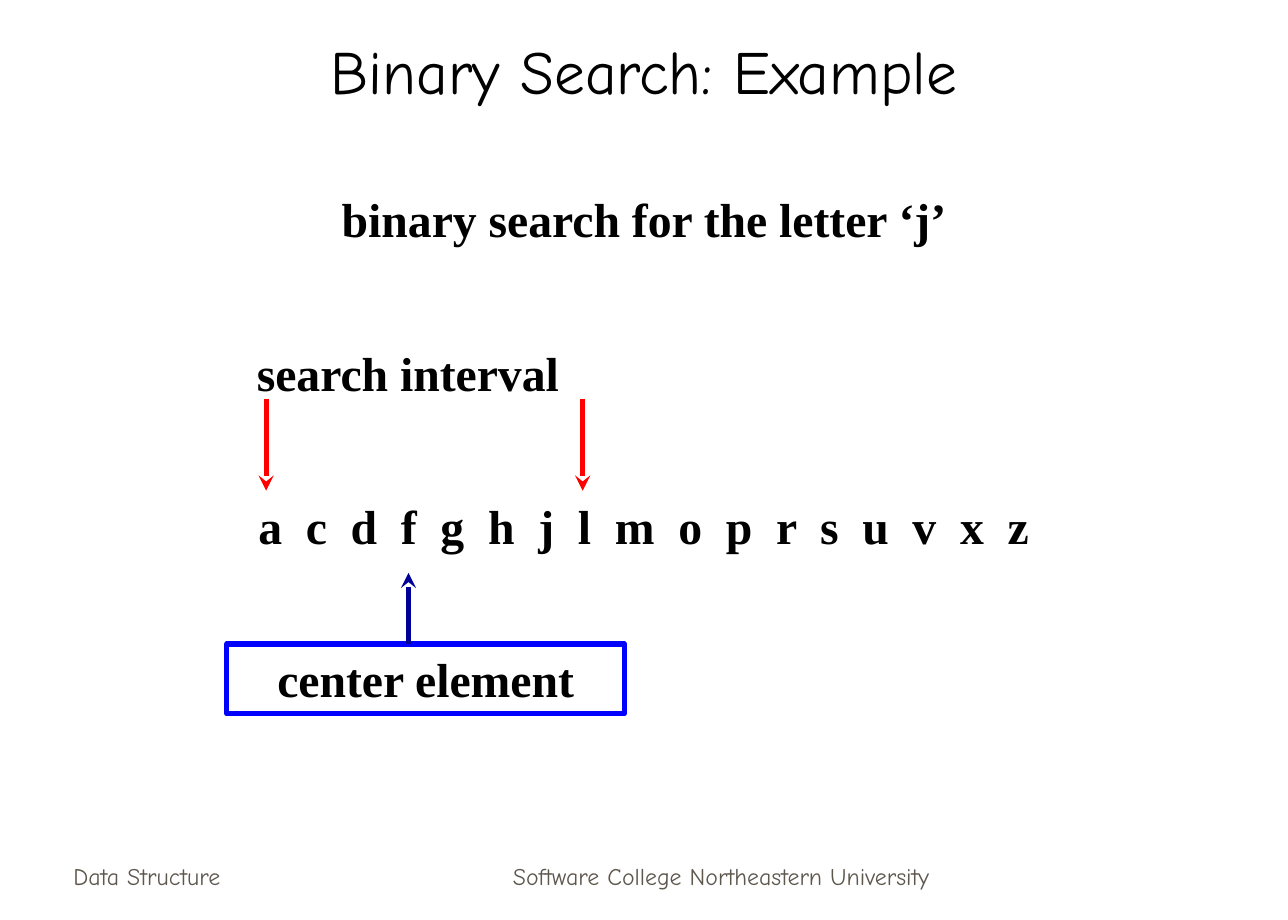
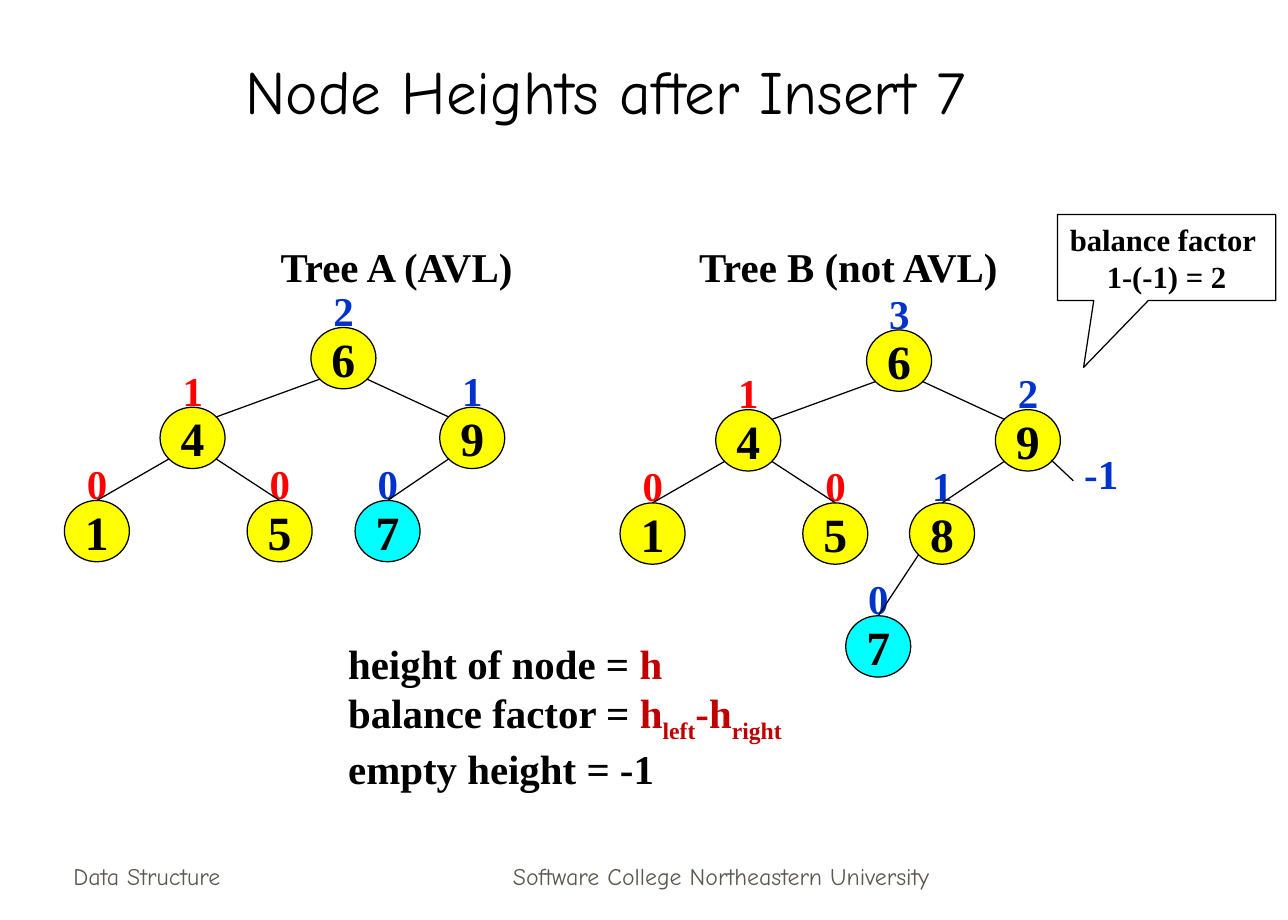
from lxml import etree
from pptx import Presentation
from pptx.dml.color import RGBColor
from pptx.enum.shapes import MSO_CONNECTOR, MSO_SHAPE
from pptx.enum.text import MSO_ANCHOR, PP_ALIGN
from pptx.oxml.ns import qn
from pptx.util import Inches, Pt

LEFT, CENTER = PP_ALIGN.LEFT, PP_ALIGN.CENTER
TOP, MIDDLE, BOTTOM = MSO_ANCHOR.TOP, MSO_ANCHOR.MIDDLE, MSO_ANCHOR.BOTTOM
STRAIGHT = MSO_CONNECTOR.STRAIGHT
RECT, OVAL = MSO_SHAPE.RECTANGLE, MSO_SHAPE.OVAL
CALLOUT = MSO_SHAPE.RECTANGULAR_CALLOUT

HEAD_FONT, BODY_FONT = "Comic Neue", "Times New Roman"
BLACK, WHITE, GRAY = "000000", "FFFFFF", "5E574E"
RED, DARK_RED = "FF0000", "C00000"
BLUE, NAVY, HEIGHT_BLUE = "0000FF", "000099", "0033CC"
YELLOW, CYAN = "FFFF00", "00FFFF"

NODE_W, NODE_H = 0.53, 0.5
CORNER_X, CORNER_Y = 0.19, 0.17
LEVELS = [2.92, 3.57, 4.33, 5.25]

# value: (parent, x offset from the root, height colour)
SHARED_NODES = {
    6: (None, 0, HEIGHT_BLUE),
    4: (6, -1.23, RED),
    9: (6, 1.05, HEIGHT_BLUE),
    1: (4, -2.01, RED),
    5: (4, -0.52, RED),
}


def rgb(hex_text):
    return RGBColor.from_string(hex_text)


class Deck:
    """Holds the presentation, its style and the current slide."""

    def __init__(self):
        self.prs = Presentation()
        self.prs.slide_width, self.prs.slide_height = Inches(10.5), Inches(7.5)
        self.s = None

    def slide(self, title, box):
        """Adds a slide with its title and the shared footers."""
        self.s = self.prs.slides.add_slide(self.prs.slide_layouts[6])
        self.text(box, title, 36, font=HEAD_FONT, bold=False, align=CENTER, anchor=BOTTOM)
        for x, w, label, align in [
            (0.5, 2.19, "Data Structure", LEFT),
            (3.59, 4.58, "Software College Northeastern University", CENTER),
        ]:
            self.text((x, 6.81, w, 0.5), label, 14, GRAY, HEAD_FONT, False, align, BOTTOM)

    def fill_text(self, sp, content, size, color=BLACK, font=BODY_FONT, bold=True,
                  align=LEFT, anchor=TOP, wrap=True):
        """Fills a shape with a string, or with lines of (text, colour, baseline) runs."""
        tf = sp.text_frame
        tf.word_wrap, tf.vertical_anchor = wrap, anchor
        lines = [[(content, color, 0)]] if isinstance(content, str) else content
        for i, line in enumerate(lines):
            p = tf.add_paragraph() if i else tf.paragraphs[0]
            p.alignment = align
            for text, run_color, baseline in line:
                r = p.add_run()
                r.text = text
                r.font.name, r.font.size, r.font.bold = font, Pt(size), bold
                r.font.color.rgb = rgb(run_color)
                if baseline:
                    r.font._element.set("baseline", str(baseline * 1000))

    def text(self, box, content, size, color=BLACK, font=BODY_FONT, bold=True,
             align=LEFT, anchor=TOP, wrap=True):
        sp = self.s.shapes.add_textbox(*map(Inches, box))
        self.fill_text(sp, content, size, color, font, bold, align, anchor, wrap)
        return sp

    def shape(self, kind, box, content, size, fill=None, line=BLACK, width=0.75,
              anchor=MIDDLE, wrap=False):
        sp = self.s.shapes.add_shape(kind, *map(Inches, box))
        sp.shadow.inherit = False
        if fill:
            sp.fill.solid()
            sp.fill.fore_color.rgb = rgb(fill)
        else:
            sp.fill.background()
        sp.line.color.rgb = rgb(line)
        sp.line.width = Pt(width)
        self.fill_text(sp, content, size, align=CENTER, anchor=anchor, wrap=wrap)
        return sp

    def line(self, start, end, color=BLACK, width=0.75, arrow=False):
        c = self.s.shapes.add_connector(STRAIGHT, *map(Inches, (*start, *end)))
        c.line.color.rgb = rgb(color)
        c.line.width = Pt(width)
        sp_pr = c._element.spPr
        if arrow:
            etree.SubElement(sp_pr.find(qn("a:ln")), qn("a:tailEnd"), type="stealth")
        etree.SubElement(sp_pr, qn("a:effectLst"))

    def tree(self, root_x, shift, heights, inserted):
        """Draws the shared nodes and the inserted ones, 7 being the new key."""
        nodes = {**SHARED_NODES, **inserted}
        depth, center = {}, {}
        for value, (parent, dx, color) in nodes.items():
            depth[value] = depth[parent] + 1 if parent else 0
            x, y = center[value] = root_x + dx, LEVELS[depth[value]] + shift
            left, top = x - NODE_W / 2, y - NODE_H / 2
            self.text((x - 0.18, top - 0.39, 0.36, 0.5), str(heights[value]), 24,
                      color, wrap=False)
            self.shape(OVAL, (left, top, NODE_W, NODE_H), str(value), 28,
                       CYAN if value == 7 else YELLOW)
        for value, (parent, _, _) in nodes.items():
            if parent is None:
                continue
            (px, py), (x, y) = center[parent], center[value]
            dx = CORNER_X if x > px else -CORNER_X
            end = (x - dx, y - CORNER_Y) if depth[value] == 1 else (x, y - NODE_H / 2)
            self.line((px + dx, py + CORNER_Y), end)


def binary_search(deck):
    deck.slide("Binary Search: Example", (0.79, 0.17, 8.92, 0.75))
    letters = deck.text((0.96, 4, 8.58, 0.57), " ".join("acdfghjlmoprsuvxz"), 28, align=CENTER)
    # 3.5 pt on each character doubles the gap between the letters
    letters.text_frame.paragraphs[0].runs[0].font._element.set("spc", "350")
    deck.text((0.96, 1.5, 8.58, 0.57), "binary search for the letter ‘j’", 28, align=CENTER)
    deck.text((1.75, 2.75, 3.15, 0.57), "search interval", 28, align=CENTER)
    for x in (2.17, 4.75):
        deck.line((x, 3.25), (x, 4), RED, 3, arrow=True)
    deck.shape(RECT, (1.85, 5.25, 3.24, 0.57), "center element", 28, line=BLUE, width=3,
               anchor=TOP, wrap=True)
    deck.line((3.33, 5.25), (3.33, 4.67), NAVY, 3, arrow=True)


def node_heights(deck):
    deck.slide("Node Heights after Insert 7", (0.47, 0.25, 8.93, 0.83))
    deck.text((2.19, 1.92, 2.98, 0.5), "Tree A (AVL)", 24)
    deck.text((5.6, 1.92, 3.82, 0.5), "Tree B (not AVL)", 24)
    deck.tree(2.8, 0, {6: 2, 4: 1, 9: 1, 1: 0, 5: 0, 7: 0},
              {7: (9, 0.36, HEIGHT_BLUE)})
    deck.tree(7.33, 0.02, {6: 3, 4: 1, 9: 2, 1: 0, 5: 0, 8: 1, 7: 0},
              {8: (9, 0.35, HEIGHT_BLUE), 7: (8, -0.17, HEIGHT_BLUE)})
    deck.line((8.57, 3.75), (8.75, 3.92))
    deck.text((8.74, 3.61, 0.48, 0.5), "-1", 24, HEIGHT_BLUE, wrap=False)
    deck.text((2.74, 5.16, 3.74, 1.36), [
        [("height of node = ", BLACK, 0), ("h", DARK_RED, 0)],
        [("balance factor = ", BLACK, 0), ("h", DARK_RED, 0), ("left", DARK_RED, -25),
         ("-h", DARK_RED, 0), ("right", DARK_RED, -25)],
        [("empty height = -1", BLACK, 0)],
    ], 24, wrap=False)
    callout = deck.shape(CALLOUT, (8.62, 1.75, 1.78, 0.7), [
        [("balance factor ", BLACK, 0)],
        [("1-(-1) = 2", BLACK, 0)],
    ], 18, WHITE)
    callout.adjustments[0], callout.adjustments[1] = -0.38, 1.28


def main():
    deck = Deck()
    binary_search(deck)
    node_heights(deck)
    deck.prs.save("out.pptx")


if __name__ == "__main__":
    main()
